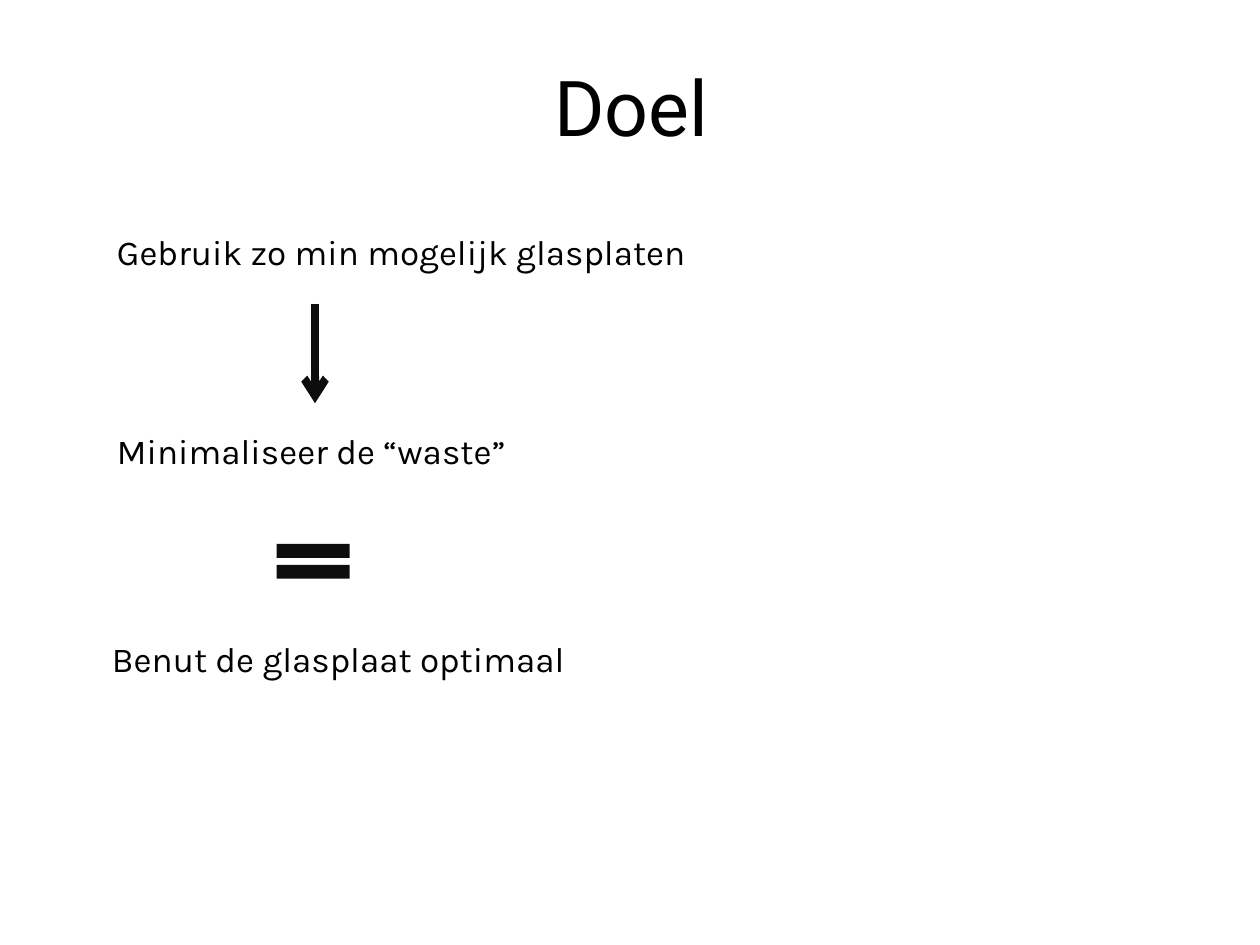
from lxml import etree
from pptx import Presentation
from pptx import util as u
from pptx.dml.color import RGBColor
from pptx.enum import shapes, text
from pptx.oxml.ns import qn

HUES = {"text": "000000", "mark": "0D0D0D"}


def hue(name):
    return RGBColor.from_string(HUES[name])


def add_text(slide, box, words, font, size):
    frame = slide.shapes.add_textbox(*map(u.Inches, box)).text_frame
    frame.word_wrap = True
    para = frame.paragraphs[0]
    run = para.add_run()
    run.text = words
    run.font.name = font
    run.font.size = u.Pt(size)
    run.font.color.rgb = hue("text")
    return frame, para


def add_title(slide, box, words):
    frame, para = add_text(slide, box, words, "Roboto", 44)
    frame.vertical_anchor = text.MSO_ANCHOR.MIDDLE
    para.alignment = text.PP_ALIGN.CENTER


def add_goal(slide, box, words):
    para = add_text(slide, box, words, "Karla", 20)[1]
    para.space_before = u.Pt(2)


def add_arrow(slide, box):
    """Draw a downward arrow along the left edge of the box."""
    left, top, _, height = box
    ends = map(u.Inches, (left, top, left, top + height))
    arrow = slide.shapes.add_connector(shapes.MSO_CONNECTOR.STRAIGHT, *ends)
    arrow.line.color.rgb = hue("mark")
    arrow.line.width = u.Pt(4.5)
    etree.SubElement(arrow.line._get_or_add_ln(), qn("a:tailEnd"), type="arrow")
    etree.SubElement(arrow._element.spPr, qn("a:effectLst"))


def add_equal(slide, box):
    sign = slide.shapes.add_shape(
        shapes.MSO_SHAPE.MATH_EQUAL, *map(u.Inches, box))
    sign.shadow.inherit = False
    sign.fill.solid()
    sign.fill.fore_color.rgb = hue("mark")
    sign.line.fill.background()


def main():
    deck = Presentation()
    deck.slide_width, deck.slide_height = u.Inches(10), u.Inches(7.5)
    slide = deck.slides.add_slide(deck.slide_layouts[6])
    add_title(slide, (0.51, 0.21, 9, 1.25), "Doel")
    goals = [
        ((0.83, 1.78, 8.59, 0.5), "Gebruik zo min mogelijk glasplaten"),
        ((0.83, 3.36, 9, 0.5), "Minimaliseer de “waste”"),
        ((0.79, 5.01, 9, 0.5), "Benut de glasplaat optimaal"),
    ]
    for box, words in goals:
        add_goal(slide, box, words)
    add_arrow(slide, (2.5, 2.41, 0, 0.79))
    add_equal(slide, (2.09, 4.22, 0.79, 0.47))
    deck.save("out.pptx")


if __name__ == "__main__":
    main()
